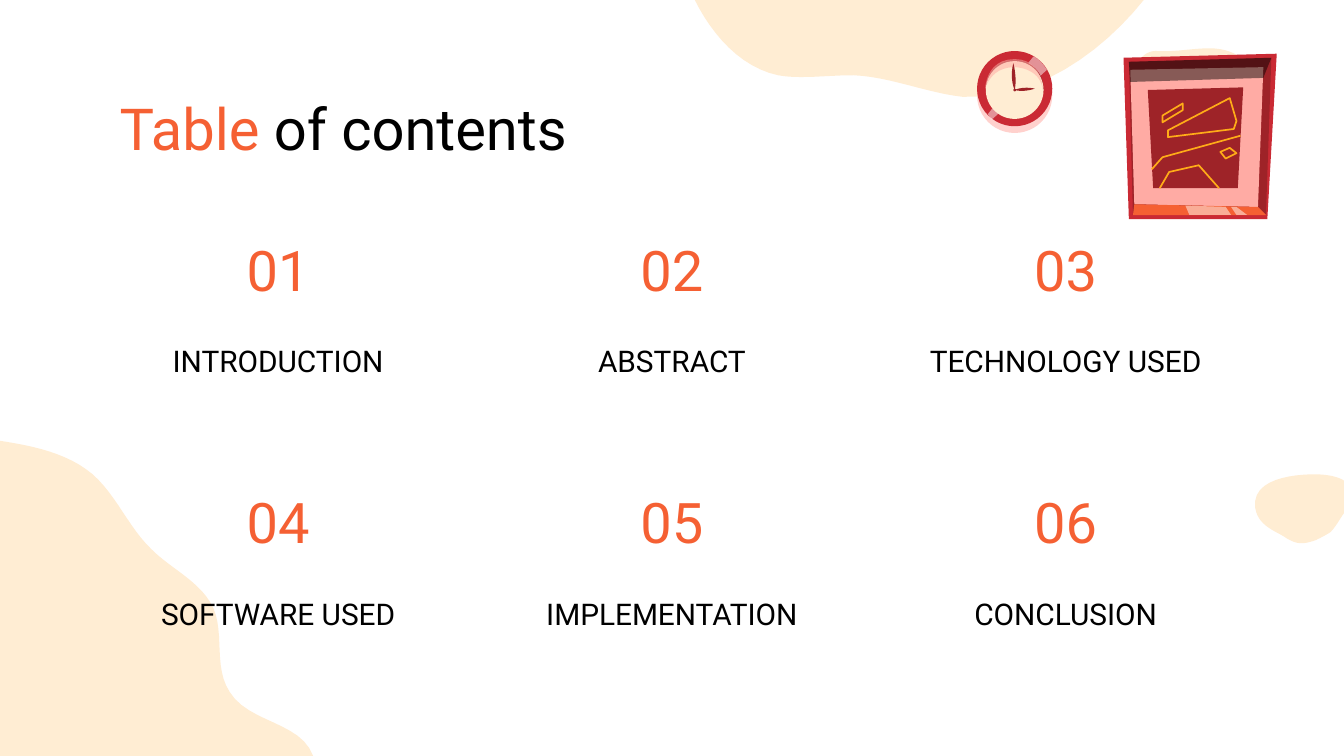
from lxml import etree
from pptx import Presentation
from pptx.dml.color import RGBColor
from pptx.enum.shapes import MSO_SHAPE
from pptx.enum.text import MSO_ANCHOR, MSO_AUTO_SIZE, PP_ALIGN
from pptx.oxml.ns import qn
from pptx.util import Inches, Pt

OVAL = MSO_SHAPE.OVAL
TOP, BOTTOM = MSO_ANCHOR.TOP, MSO_ANCHOR.BOTTOM
LEFT, CENTER = PP_ALIGN.LEFT, PP_ALIGN.CENTER

WIDTH = 10
HEIGHT = WIDTH * 9 / 16
FONT = "Roboto"
BLACK = RGBColor(0x00, 0x00, 0x00)
WHITE = RGBColor(0xFF, 0xFF, 0xFF)
ORANGE = RGBColor(0xF5, 0x60, 0x33)
CREAM = RGBColor(0xFF, 0xED, 0xD3)
RED = RGBColor(0xCA, 0x2A, 0x34)
DARK_RED = RGBColor(0x9E, 0x23, 0x28)
PINK = RGBColor(0xFF, 0xAB, 0xA4)
YELLOW = RGBColor(0xFF, 0xAC, 0x18)

TOPICS = ["INTRODUCTION", "ABSTRACT", "TECHNOLOGY USED",
          "SOFTWARE USED", "IMPLEMENTATION", "CONCLUSION"]
COLUMNS = 3
MARGIN = 0.79
COLUMN_WIDTH = 2.56
COLUMN_STEP = (WIDTH - 2 * MARGIN - COLUMN_WIDTH) / (COLUMNS - 1)
NUMBER_WIDTH = 1.14
FIRST_ROW, ROW_STEP = 1.65, 1.88

# Each outline is a start point, then segments: (x, y) for a line,
# or (x1, y1, x2, y2, x, y) for a Bézier curve.
BLOBS = [
    [(0, 3.28), (0, HEIGHT), (2.33, HEIGHT),
     (2.24, 5.37, 1.85, 5.38, 1.71, 5.15), (1.59, 4.97, 1.67, 4.72, 1.59, 4.53),
     (1.5, 4.33, 1.28, 4.24, 1.13, 4.09), (0.96, 3.93, 0.87, 3.69, 0.69, 3.53),
     (0.5, 3.37, 0.25, 3.32, 0, 3.28)],
    [(8.51, 0), (5.17, 0), (5.3, 0.26, 5.51, 0.5, 5.79, 0.56),
     (5.95, 0.59, 6.15, 0.56, 6.35, 0.56), (6.62, 0.57, 6.89, 0.69, 7.16, 0.72),
     (7.7, 0.75, 8.2, 0.39, 8.51, 0)],
    [(9, 0.36), (8.87, 0.36, 8.74, 0.39, 8.6, 0.38),
     (8.53, 0.38, 8.48, 0.43, 8.46, 0.49), (8.43, 0.55, 8.41, 0.78, 8.46, 0.91),
     (8.52, 1.07, 8.68, 1.12, 8.84, 1.04), (8.91, 1.01, 8.98, 0.98, 9.06, 0.97),
     (9.15, 0.98, 9.23, 0.99, 9.29, 0.95), (9.34, 0.93, 9.36, 0.88, 9.38, 0.83),
     (9.41, 0.73, 9.39, 0.62, 9.33, 0.53), (9.27, 0.44, 9.17, 0.36, 9, 0.36)],
    [(9.78, 3.53), (9.63, 3.53, 9.31, 3.56, 9.34, 3.78),
     (9.36, 3.9, 9.46, 3.94, 9.55, 3.99), (9.65, 4.06, 9.7, 4.05, 9.79, 4.02),
     (9.83, 4, 9.87, 3.98, 9.9, 3.96), (9.94, 3.92, 9.97, 3.86, 10, 3.82),
     (10.02, 3.8, 10.04, 3.78, 10.06, 3.75), (10.09, 3.69, 10.05, 3.61, 9.99, 3.57),
     (9.93, 3.54, 9.86, 3.53, 9.78, 3.53)],
]
FRAME_PARTS = [
    ([(8.4, 1.63), (8.36, 0.43), (9.5, 0.4), (9.43, 1.63)], RED, 100),
    ([(9.46, 0.43), (8.4, 0.46), (8.43, 1.6), (9.42, 1.6)], DARK_RED, 100),
    ([(8.44, 1.52), (9.36, 1.54), (9.4, 0.5), (8.41, 0.52)], PINK, 100),
    ([(9.36, 1.54), (9.42, 1.6), (8.43, 1.6), (8.44, 1.52)], ORANGE, 100),
    ([(9.46, 0.43), (8.4, 0.46), (8.41, 0.61), (9.4, 0.58)], BLACK, 47),
    ([(9.25, 0.65), (8.54, 0.67), (8.58, 1.4), (9.21, 1.4)], DARK_RED, 100),
    ([(8.82, 1.53), (8.85, 1.6), (9.16, 1.6), (9.12, 1.54)], WHITE, 49),
    ([(9.16, 1.54), (9.2, 1.6), (9.28, 1.6), (9.2, 1.54)], WHITE, 49),
]
FRAME_STROKES = [
    ([(8.57, 1.26), (8.65, 1.17), (9.23, 1.01)], False),
    ([(8.69, 1.02), (8.69, 0.97), (9.15, 0.73), (9.2, 0.9), (9.18, 0.96)], True),
    ([(8.65, 0.91), (8.65, 0.86), (8.8, 0.77), (8.8, 0.82)], True),
    ([(8.63, 1.4), (8.7, 1.28), (8.92, 1.23), (9.07, 1.4)], False),
    ([(9.12, 1.18), (9.08, 1.13), (9.15, 1.1), (9.2, 1.14)], True),
]
CLOCK_GLARE = [(7.69, 0.42), (7.35, 0.85), (7.38, 0.89), (7.79, 0.52),
               (7.79, 0.52, 7.74, 0.44, 7.69, 0.42)]
CLOCK_SHADE = [(7.55, 0.44), (7.33, 0.44, 7.33, 0.67, 7.33, 0.67),
               (7.33, 0.67, 7.36, 0.5, 7.55, 0.5),
               (7.55, 0.5, 7.74, 0.5, 7.76, 0.67),
               (7.76, 0.67, 7.76, 0.44, 7.55, 0.44)]
CLOCK_HANDS = [
    [(7.55, 0.67), (7.55, 0.67, 7.51, 0.59, 7.54, 0.47),
     (7.54, 0.47, 7.57, 0.58, 7.55, 0.67)],
    [(7.55, 0.67), (7.55, 0.67, 7.61, 0.64, 7.7, 0.66),
     (7.7, 0.66, 7.62, 0.69, 7.55, 0.67)],
]


def flatten(outline, steps=12):
    """Turn lines and Bézier segments into a list of points."""
    points = [outline[0]]
    for segment in outline[1:]:
        if len(segment) == 2:
            points.append(segment)
            continue
        x0, y0 = points[-1]
        x1, y1, x2, y2, x3, y3 = segment
        for step in range(1, steps + 1):
            t = step / steps
            a, b, c, d = (1 - t) ** 3, 3 * t * (1 - t) ** 2, 3 * t * t * (1 - t), t ** 3
            points.append((a * x0 + b * x1 + c * x2 + d * x3,
                           a * y0 + b * y1 + c * y2 + d * y3))
    return points


def paint(shape, color, opacity=100):
    shape.shadow.inherit = False
    shape.line.fill.background()
    shape.fill.solid()
    shape.fill.fore_color.rgb = color
    if opacity < 100:
        color_element = shape._element.spPr.find(qn("a:solidFill"))[0]
        etree.SubElement(color_element, qn("a:alpha"), val=str(opacity * 1000))


def build_outline(shapes, outline, closed=True):
    points = [(Inches(x), Inches(y)) for x, y in flatten(outline)]
    builder = shapes.build_freeform(*points[0])
    builder.add_line_segments(points[1:], close=closed)
    return builder.convert_to_shape()


def add_area(shapes, outline, color, opacity=100):
    paint(build_outline(shapes, outline), color, opacity)


def add_stroke(shapes, outline, closed):
    shape = build_outline(shapes, outline, closed)
    shape.shadow.inherit = False
    shape.fill.background()
    shape.line.color.rgb = YELLOW
    shape.line.width = Pt(0.9)


def add_disc(shapes, center_y, diameter, color, opacity=100):
    """Add a circle on the vertical axis of the clock."""
    disc = shapes.add_shape(OVAL, Inches(7.55 - diameter / 2),
                            Inches(center_y - diameter / 2),
                            Inches(diameter), Inches(diameter))
    paint(disc, color, opacity)


def write_text(shape, box, runs, size, align=CENTER, anchor=TOP):
    """Place a text shape and fill it with (text, color) runs."""
    shape.left, shape.top, shape.width, shape.height = map(Inches, box)
    frame = shape.text_frame
    frame.word_wrap = True
    frame.auto_size = MSO_AUTO_SIZE.NONE
    frame.vertical_anchor = anchor
    frame.margin_left = frame.margin_right = Inches(0.1)
    frame.margin_top = frame.margin_bottom = Inches(0.1)
    paragraph = frame.paragraphs[0]
    paragraph.alignment = align
    for text, color in runs:
        run = paragraph.add_run()
        run.text = text
        run.font.name = FONT
        run.font.size = Pt(size)
        run.font.color.rgb = color


def add_topic(shapes, index, topic):
    row, column = divmod(index, COLUMNS)
    left = MARGIN + column * COLUMN_STEP
    top = FIRST_ROW + row * ROW_STEP
    number_left = left + (COLUMN_WIDTH - NUMBER_WIDTH) / 2
    write_text(shapes.add_textbox(0, 0, 0, 0), (number_left, top, NUMBER_WIDTH, 0.72),
               [(f"{index + 1:02}", ORANGE)], size=30)
    write_text(shapes.add_textbox(0, 0, 0, 0), (left, top + 0.53, COLUMN_WIDTH, 0.74),
               [(topic, BLACK)], size=16, anchor=BOTTOM)


def add_picture_frame(shapes):
    for outline, color, opacity in FRAME_PARTS:
        add_area(shapes, outline, color, opacity)
    for outline, closed in FRAME_STROKES:
        add_stroke(shapes, outline, closed)


def add_clock(shapes):
    add_disc(shapes, 0.71, 0.56, PINK, 54)
    add_disc(shapes, 0.66, 0.56, RED)
    add_area(shapes, CLOCK_GLARE, WHITE, 49)
    add_disc(shapes, 0.66, 0.43, DARK_RED)
    add_disc(shapes, 0.67, 0.43, CREAM)
    add_disc(shapes, 0.67, 0.02, DARK_RED)
    add_area(shapes, CLOCK_SHADE, PINK, 54)
    for hand in CLOCK_HANDS:
        add_area(shapes, hand, DARK_RED)


def main():
    presentation = Presentation()
    presentation.slide_width, presentation.slide_height = Inches(WIDTH), Inches(HEIGHT)
    slide = presentation.slides.add_slide(presentation.slide_layouts[5])
    shapes = slide.shapes
    for blob in BLOBS:
        add_area(shapes, blob, CREAM)
    write_text(shapes.title, (MARGIN, 0.59, WIDTH - 2 * MARGIN, 0.69),
               [("Table", ORANGE), (" of contents", BLACK)], size=31, align=LEFT)
    for index, topic in enumerate(TOPICS):
        add_topic(shapes, index, topic)
    add_picture_frame(shapes.add_group_shape().shapes)
    add_clock(shapes.add_group_shape().shapes)
    presentation.save("out.pptx")


if __name__ == "__main__":
    main()
